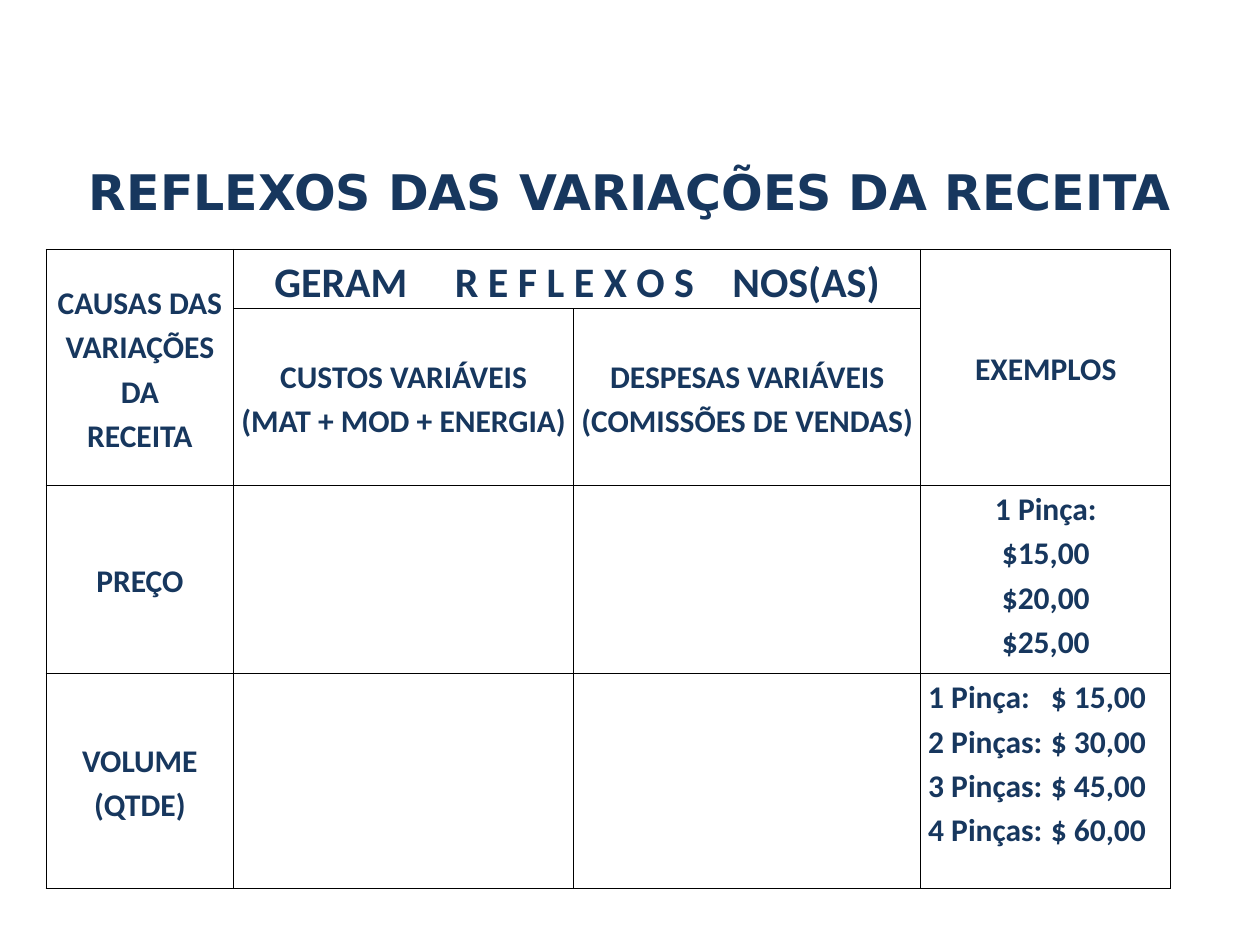
from lxml import etree
from pptx import Presentation
from pptx.dml.color import RGBColor
from pptx.enum.text import MSO_ANCHOR, PP_ALIGN
from pptx.oxml.ns import qn
from pptx.util import Inches, Pt

CENTER, LEFT = PP_ALIGN.CENTER, PP_ALIGN.LEFT
MIDDLE, TOP = MSO_ANCHOR.MIDDLE, MSO_ANCHOR.TOP
COLORS = {"navy": "17375E", "line": "000000"}

TITLE = "REFLEXOS DAS VARIAÇÕES DA RECEITA"
COLS = [2.23, 4.05, 4.13, 2.98]
ROWS = [0.69, 1.53, 2.24, 2.56]
MERGES = [((0, 0), (1, 0)), ((0, 1), (0, 2)), ((0, 3), (1, 3))]
CELLS = {
    (0, 0): ["CAUSAS DAS VARIAÇÕES DA", "RECEITA"],
    (0, 1): ["GERAM R E F L E X O S NOS(AS)"],
    (0, 3): ["EXEMPLOS"],
    (1, 1): ["CUSTOS VARIÁVEIS", "(MAT + MOD + ENERGIA)"],
    (1, 2): ["DESPESAS VARIÁVEIS", "(COMISSÕES DE VENDAS)"],
    (2, 0): ["PREÇO"],
    (2, 3): ["1 Pinça:", "$15,00", "$20,00", "$25,00"],
    (3, 0): ["VOLUME (QTDE)"],
    (3, 3): ["1 Pinça:\t$ 15,00", "2 Pinças:\t$ 30,00",
             "3 Pinças:\t$ 45,00", "4 Pinças:\t$ 60,00"],
}
FORMATS = {(0, 1): {"size": 36}, (2, 3): {"anchor": TOP},
           (3, 3): {"anchor": TOP, "align": LEFT, "tab": 1.46}}
# Extra points after the words that stand apart in the heading
GAPS = {"GERAM": 32.5, "S": 24.5}


def assign(obj, values):
    for name, value in values.items():
        setattr(obj, name, value)


def style(font, size, name="Calibri"):
    assign(font, {"size": Pt(size), "name": name, "bold": True})
    font.color.rgb = RGBColor.from_string(COLORS["navy"])


def add_run(para, text, size, gap=0):
    run = para.add_run()
    run.text = text
    style(run.font, size)
    if gap:
        run._r.get_or_add_rPr().set("spc", str(round(gap * 100)))


def add_heading(para, text, size):
    """Write the heading, widening the spaces named in GAPS."""
    part = ""
    for word in text.split(" "):
        part += word
        if word in GAPS:
            add_run(para, part, size)
            add_run(para, " ", size, GAPS[word])
            part = ""
        else:
            part += " "
    add_run(para, part.strip(), size)


def add_border(cell):
    props = cell._tc.get_or_add_tcPr()
    for side in ("lnL", "lnR", "lnT", "lnB"):
        line = etree.SubElement(props, qn("a:" + side), w=str(Pt(1)))
        fill = etree.SubElement(line, qn("a:solidFill"))
        etree.SubElement(fill, qn("a:srgbClr"), val=COLORS["line"])


def add_tab(para, place):
    tabs = etree.SubElement(para._p.get_or_add_pPr(), qn("a:tabLst"))
    etree.SubElement(tabs, qn("a:tab"), pos=str(Inches(place)), algn="l")


def fill_cell(cell, lines, size=27, anchor=MIDDLE, align=CENTER, tab=None):
    cell.vertical_anchor = anchor
    frame = cell.text_frame
    for i, text in enumerate(lines):
        para = frame.add_paragraph() if i else frame.paragraphs[0]
        if tab:
            add_tab(para, tab)
        assign(para, {"alignment": align, "line_spacing": 1.15})
        write = add_heading if text.startswith("GERAM") else add_run
        write(para, text, size)


def add_title(slide):
    title = slide.shapes.title
    assign(title, {"left": Inches(0.75), "top": Inches(1.74),
                   "width": Inches(13.5), "height": Inches(1.07)})
    frame = title.text_frame
    assign(frame, {"text": TITLE, "word_wrap": True, "vertical_anchor": MIDDLE,
                   "margin_left": Inches(0.15), "margin_right": Inches(0.15),
                   "margin_top": Inches(0.07), "margin_bottom": Inches(0.07)})
    para = frame.paragraphs[0]
    para.alignment = CENTER
    style(para.runs[0].font, 42, "DejaVu Sans")


def add_grid(slide):
    grid = slide.shapes.add_table(
        len(ROWS), len(COLS), Inches(0.55), Inches(2.97),
        Inches(sum(COLS)), Inches(sum(ROWS))).table
    assign(grid, {"first_row": False, "horz_banding": False})
    for col, width in zip(grid.columns, COLS):
        col.width = Inches(width)
    for row, height in zip(grid.rows, ROWS):
        row.height = Inches(height)
    for cell in grid.iter_cells():
        add_border(cell)
        cell.fill.background()
        assign(cell, {"margin_left": Inches(0.09), "margin_right": Inches(0.09),
                      "margin_top": 0, "margin_bottom": 0})
    for start, end in MERGES:
        grid.cell(*start).merge(grid.cell(*end))
    for spot, lines in CELLS.items():
        fill_cell(grid.cell(*spot), lines, **FORMATS.get(spot, {}))


def main():
    deck = Presentation()
    assign(deck, {"slide_width": Inches(15), "slide_height": Inches(11.25)})
    slide = deck.slides.add_slide(deck.slide_layouts[5])
    add_title(slide)
    add_grid(slide)
    deck.save("out.pptx")


if __name__ == "__main__":
    main()
